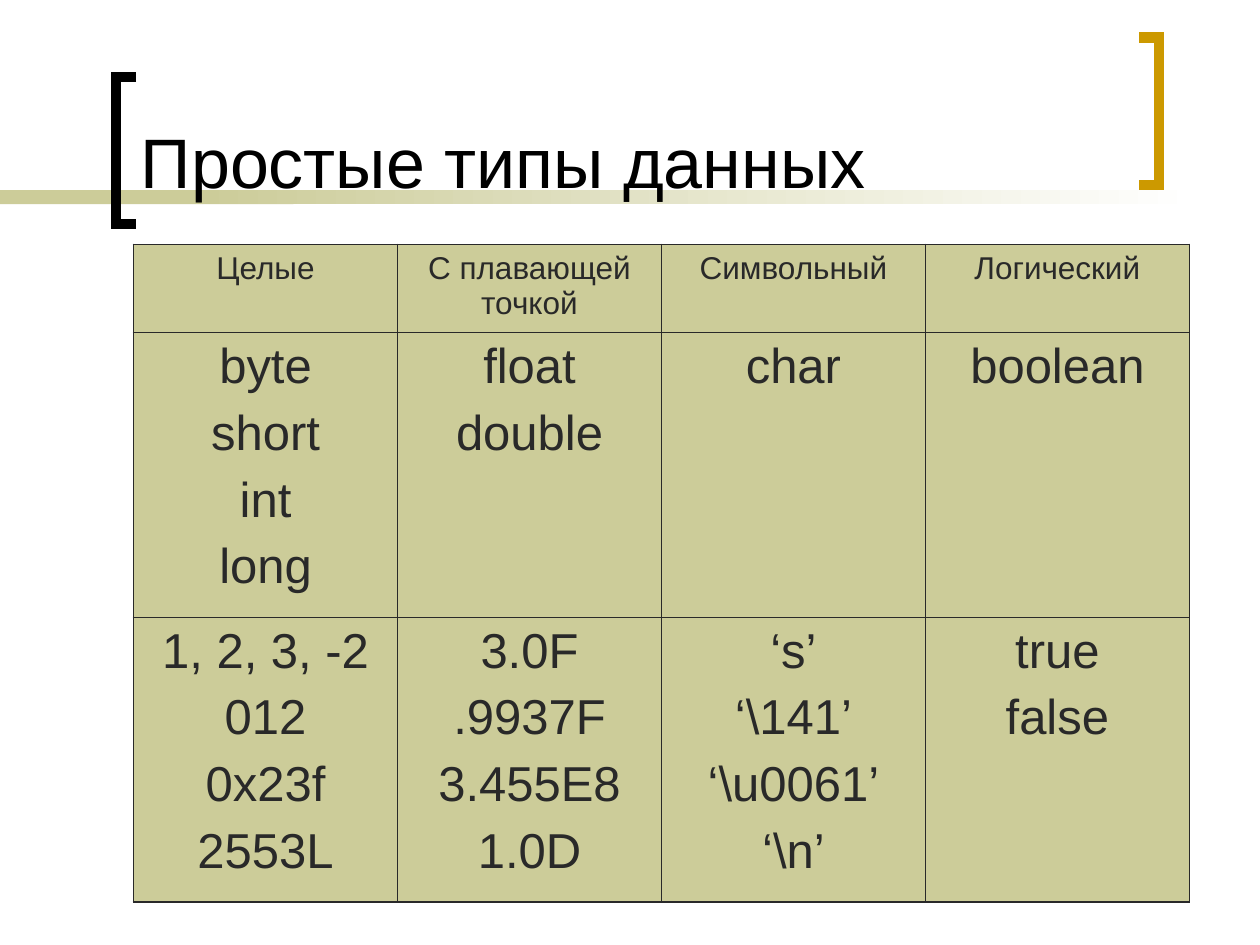
from lxml import etree
from pptx import Presentation
from pptx import util as u
from pptx.dml.color import RGBColor
from pptx.enum import shapes, text
from pptx.oxml.ns import qn

BLACK = RGBColor(0x00, 0x00, 0x00)
WHITE = RGBColor(0xFF, 0xFF, 0xFF)
GOLD = RGBColor(0xCC, 0x99, 0x00)
OLIVE = RGBColor(0xCC, 0xCC, 0x99)
CHARCOAL = RGBColor(0x29, 0x29, 0x29)

COLUMNS, ROWS = 100, 75  # grid laid over the slide

HEADINGS = ["Целые", "С плавающей точкой", "Символьный", "Логический"]
TYPES = [["byte", "short", "int", "long"], ["float", "double"], ["char"], ["boolean"]]
LITERALS = [
    ["1, 2, 3, -2", "012", "0x23f", "2553L"],
    ["3.0F", ".9937F", "3.455E8", "1.0D"],
    ["‘s’", "‘\\141’", "‘\\u0061’", "‘\\n’"],
    ["true", "false"],
]

TITLE_STYLE = {"font": {"name": "Arial", "size": u.Pt(40)}, "color": BLACK, "paragraph": {}}
HEADING_STYLE = {
    "font": {"name": "Arial", "size": u.Pt(18)},
    "color": CHARCOAL,
    "paragraph": {"alignment": text.PP_ALIGN.CENTER, "space_before": u.Pt(4.5)},
}
BODY_STYLE = {
    "font": {"name": "Arial", "size": u.Pt(28)},
    "color": CHARCOAL,
    "paragraph": {"alignment": text.PP_ALIGN.CENTER, "space_before": u.Pt(7)},
}


def set_all(target, values):
    for name, value in values.items():
        setattr(target, name, value)


class SlideBuilder:
    def __init__(self, presentation):
        self.slide = presentation.slides.add_slide(presentation.slide_layouts[6])
        self.column = presentation.slide_width / COLUMNS
        self.row = presentation.slide_height / ROWS
        self.outer, self.inner = u.Pt(1.08), u.Pt(0.45)

    def box(self, left, top, width, height):
        return (round(left * self.column), round(top * self.row),
                round(width * self.column), round(height * self.row))

    def add_lines(self, frame, lines, style):
        for index, line in enumerate(lines):
            paragraph = frame.paragraphs[0] if index == 0 else frame.add_paragraph()
            set_all(paragraph, style["paragraph"])
            run = paragraph.add_run()
            run.text = line
            set_all(run.font, style["font"])
            run.font.color.rgb = style["color"]

    def band(self, place, start, end):
        shape = self.slide.shapes.add_shape(shapes.MSO_SHAPE.RECTANGLE, *self.box(*place))
        shape.shadow.inherit = False
        shape.line.fill.background()
        if start == end:
            shape.fill.solid()
            shape.fill.fore_color.rgb = start
            return
        shape.fill.gradient()
        shape.fill.gradient_angle = 0
        for stop, color in zip(shape.fill.gradient_stops, (start, end)):
            stop.color.rgb = color

    def bracket(self, tip, spine, top, bottom, color):
        corners = [(tip, top), (spine, top), (spine, bottom), (tip, bottom)]
        points = [(round(x * self.column), round(y * self.row)) for x, y in corners]
        builder = self.slide.shapes.build_freeform(*points[0])
        builder.add_line_segments(points[1:], close=False)
        shape = builder.convert_to_shape()
        shape.shadow.inherit = False
        shape.fill.background()
        shape.line.color.rgb = color
        shape.line.width = u.Pt(6)
        line = shape._element.spPr.find(qn("a:ln"))
        etree.SubElement(line, qn("a:miter"), lim="800000")

    def title(self, place, wording):
        frame = self.slide.shapes.add_textbox(*self.box(*place)).text_frame
        set_all(frame, {"word_wrap": True, "vertical_anchor": text.MSO_ANCHOR.BOTTOM})
        self.add_lines(frame, [wording], TITLE_STYLE)

    def border(self, cell, widths):
        properties = cell._tc.get_or_add_tcPr()
        for index, (side, width) in enumerate(widths.items()):
            line = etree.Element(qn(f"a:ln{side}"), w=str(width))
            fill = etree.SubElement(line, qn("a:solidFill"))
            etree.SubElement(fill, qn("a:srgbClr"), val=str(CHARCOAL))
            properties.insert(index, line)

    def table(self, place, row_heights, content):
        row_count, column_count = len(content), len(content[0])
        table = self.slide.shapes.add_table(row_count, column_count, *self.box(*place)).table
        for row, height in zip(table.rows, row_heights):
            row.height = round(height * self.row)
        for r, record in enumerate(content):
            for c, lines in enumerate(record):
                cell = table.cell(r, c)
                cell.fill.solid()
                cell.fill.fore_color.rgb = OLIVE
                self.add_lines(cell.text_frame, lines, BODY_STYLE if r else HEADING_STYLE)
                edges = {"L": c == 0, "R": c == column_count - 1,
                         "T": r == 0, "B": r == row_count - 1}
                self.border(cell, {side: self.outer if edge else self.inner
                                   for side, edge in edges.items()})


def main():
    presentation = Presentation()
    set_all(presentation, {"slide_width": u.Inches(10), "slide_height": u.Inches(7.5)})
    builder = SlideBuilder(presentation)

    # Band fading to the right behind the title
    builder.band((0, 15.1, 23.3, 1.1), OLIVE, OLIVE)
    builder.band((15.8, 15.1, 79.2, 1.1), OLIVE, WHITE)

    # Brackets around the title
    builder.bracket(10.8, 9.2, 6.1, 17.8, BLACK)
    builder.bracket(90.4, 92, 3, 14.7, GOLD)
    builder.title((10.2, 1.1, 78.3, 15.5), "Простые типы данных")

    # Data types with sample literals
    headings = [[heading] for heading in HEADINGS]
    builder.table((10.6, 19.4, 83.8, 52.2), (7, 22.6, 22.6), [headings, TYPES, LITERALS])

    presentation.save("out.pptx")


if __name__ == "__main__":
    main()
